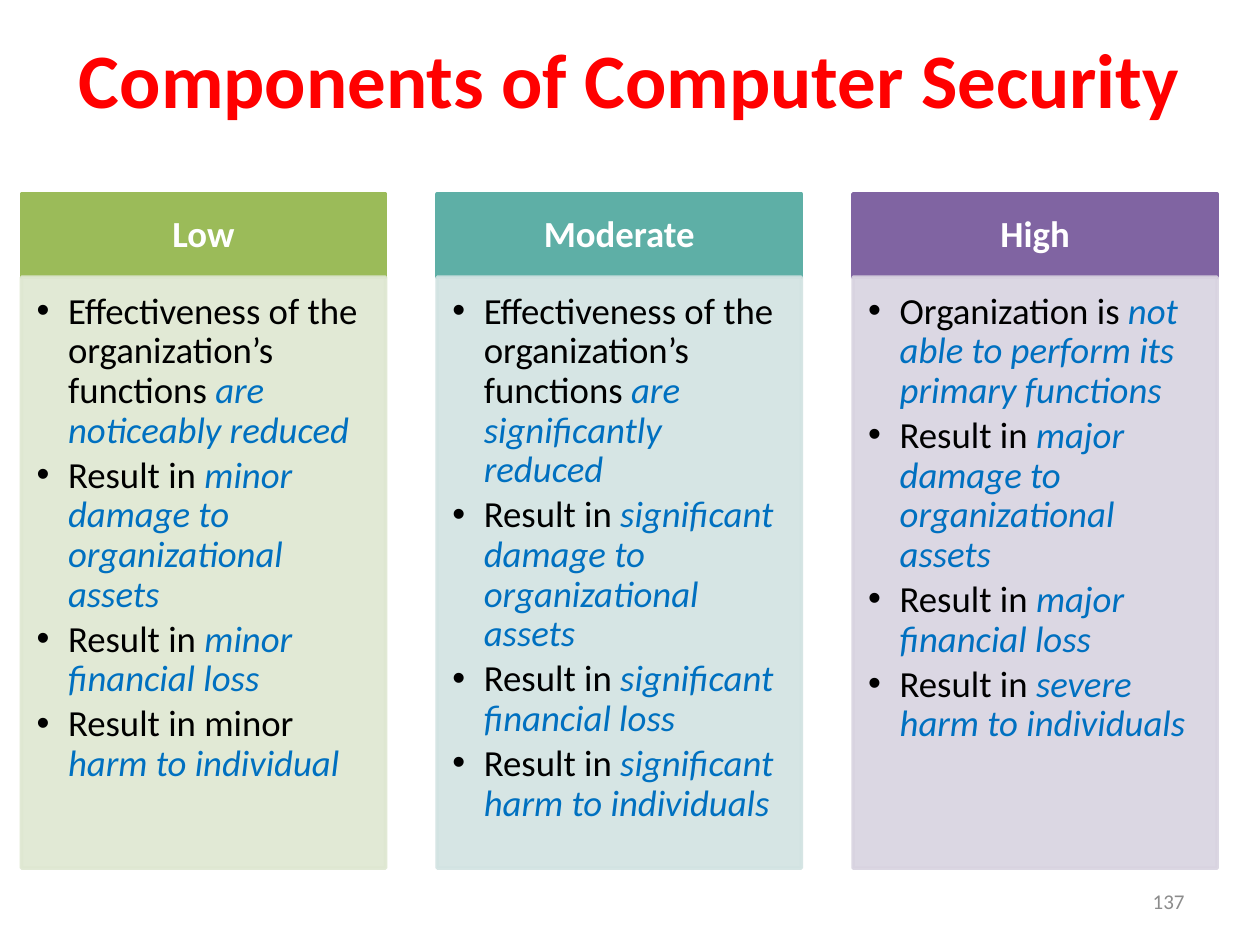
"""Build the slide comparing low, moderate and high security impact."""
import pptx
import pptx.dml.color
import pptx.enum.shapes
import pptx.enum.text
import pptx.oxml
import pptx.oxml.ns
import pptx.util
from lxml import etree

Inches, Pt = pptx.util.Inches, pptx.util.Pt
ALIGN, ANCHOR = pptx.enum.text.PP_ALIGN, pptx.enum.text.MSO_ANCHOR
qn = pptx.oxml.ns.qn

COLORS = {
    "title": "FF0000", "number": "8C8C8C", "heading": "FFFFFF",
    "plain": "000000", "emphasis": "0070C0",
    "Low": "9BBB59", "Low body": "DEE7D1",
    "Moderate": "5EAFA6", "Moderate body": "D2E3E2",
    "High": "8064A2", "High body": "D8D3E0",
}
LEVELS = {
    "Low": [
        ("Effectiveness of the organization’s functions ", "are noticeably reduced"),
        ("Result in ", "minor damage to organizational assets"),
        ("Result in ", "minor financial loss"),
        ("Result in minor ", "harm to individual"),
    ],
    "Moderate": [
        ("Effectiveness of the organization’s functions ", "are significantly reduced"),
        ("Result in ", "significant damage to organizational assets"),
        ("Result in ", "significant financial loss"),
        ("Result in ", "significant harm to individuals"),
    ],
    "High": [
        ("Organization is ", "not able to perform its primary functions"),
        ("Result in ", "major damage to organizational assets"),
        ("Result in ", "major financial loss"),
        ("Result in ", "severe harm to individuals"),
    ],
}
LEFT, PITCH, WIDTH = 0.17, 3.3, 2.89
HEAD_TOP, HEAD_HEIGHT, BODY_HEIGHT = 1.54, 0.66, 4.69


def add_run(paragraph, text, size, color, bold=False, italic=False):
    run = paragraph.add_run()
    run.text = text
    run.font.name = "Calibri"
    run.font.size = Pt(size)
    run.font.bold = bold
    run.font.italic = italic
    run.font.color.rgb = pptx.dml.color.RGBColor.from_string(COLORS[color])


def add_panel(left, top, height, color, margins, anchor):
    panel = slide.shapes.add_shape(
        pptx.enum.shapes.MSO_SHAPE.RECTANGLE,
        Inches(left), Inches(top), Inches(WIDTH), Inches(height))
    panel.shadow.inherit = False
    panel.fill.solid()
    panel.line.width = Pt(2)
    for paint in (panel.fill.fore_color, panel.line.color):
        paint.rgb = pptx.dml.color.RGBColor.from_string(COLORS[color])
    frame = panel.text_frame
    frame.word_wrap = True
    frame.vertical_anchor = anchor
    (frame.margin_left, frame.margin_top,
     frame.margin_right, frame.margin_bottom) = map(Inches, margins)
    return panel


deck = pptx.Presentation()
deck.slide_width, deck.slide_height = Inches(10), Inches(7.5)
slide = deck.slides.add_slide(deck.slide_layouts.get_by_name("Title Only"))

title = slide.shapes.title
title.left, title.top = Inches(0.6), Inches(0.24)
title.width, title.height = Inches(8.8), Inches(0.76)
heading = title.text_frame
heading.auto_size = pptx.enum.text.MSO_AUTO_SIZE.NONE
heading.vertical_anchor = ANCHOR.TOP
heading.margin_left = heading.margin_right = heading.margin_bottom = 0
heading.margin_top = Inches(0.01)
heading.paragraphs[0].alignment = ALIGN.CENTER
add_run(heading.paragraphs[0], "Components of Computer Security", 44, "title", bold=True)

number = slide.shapes.add_textbox(
    Inches(7.17), Inches(6.95), Inches(2.33), Inches(0.4)).text_frame
number.word_wrap = True
number.vertical_anchor = ANCHOR.MIDDLE
number.paragraphs[0].alignment = ALIGN.RIGHT
add_run(number.paragraphs[0], "137", 12, "number")

for column, (level, effects) in enumerate(LEVELS.items()):
    left = LEFT + column * PITCH
    head = add_panel(left, HEAD_TOP, HEAD_HEIGHT, level,
                     (0.16, 0.09, 0.16, 0.09), ANCHOR.MIDDLE)
    label = head.text_frame.paragraphs[0]
    label.alignment = ALIGN.CENTER
    label.line_spacing = 0.9
    add_run(label, level, 21, "heading", bold=True)

    body = add_panel(left, HEAD_TOP + HEAD_HEIGHT, BODY_HEIGHT, f"{level} body",
                     (0.12, 0.12, 0.16, 0.18), ANCHOR.TOP)
    for color in body.element.spPr.iter(qn("a:srgbClr")):
        etree.SubElement(color, qn("a:alpha"), val="90000")
    for row, (plain, emphasis) in enumerate(effects):
        effect = body.text_frame.add_paragraph() if row else body.text_frame.paragraphs[0]
        effect.level = 1
        properties = effect._p.get_or_add_pPr()
        properties.set("marL", str(Inches(0.25)))
        properties.set("indent", str(-Inches(0.25)))
        etree.SubElement(properties, qn("a:buFont"), typeface="Arial")
        etree.SubElement(properties, qn("a:buChar"), char="•")
        effect.alignment = ALIGN.LEFT
        effect.line_spacing = 0.9
        effect.space_after = Pt(3)
        add_run(effect, plain, 21, "plain")
        add_run(effect, emphasis, 21, "emphasis", italic=True)

deck.save("out.pptx")
